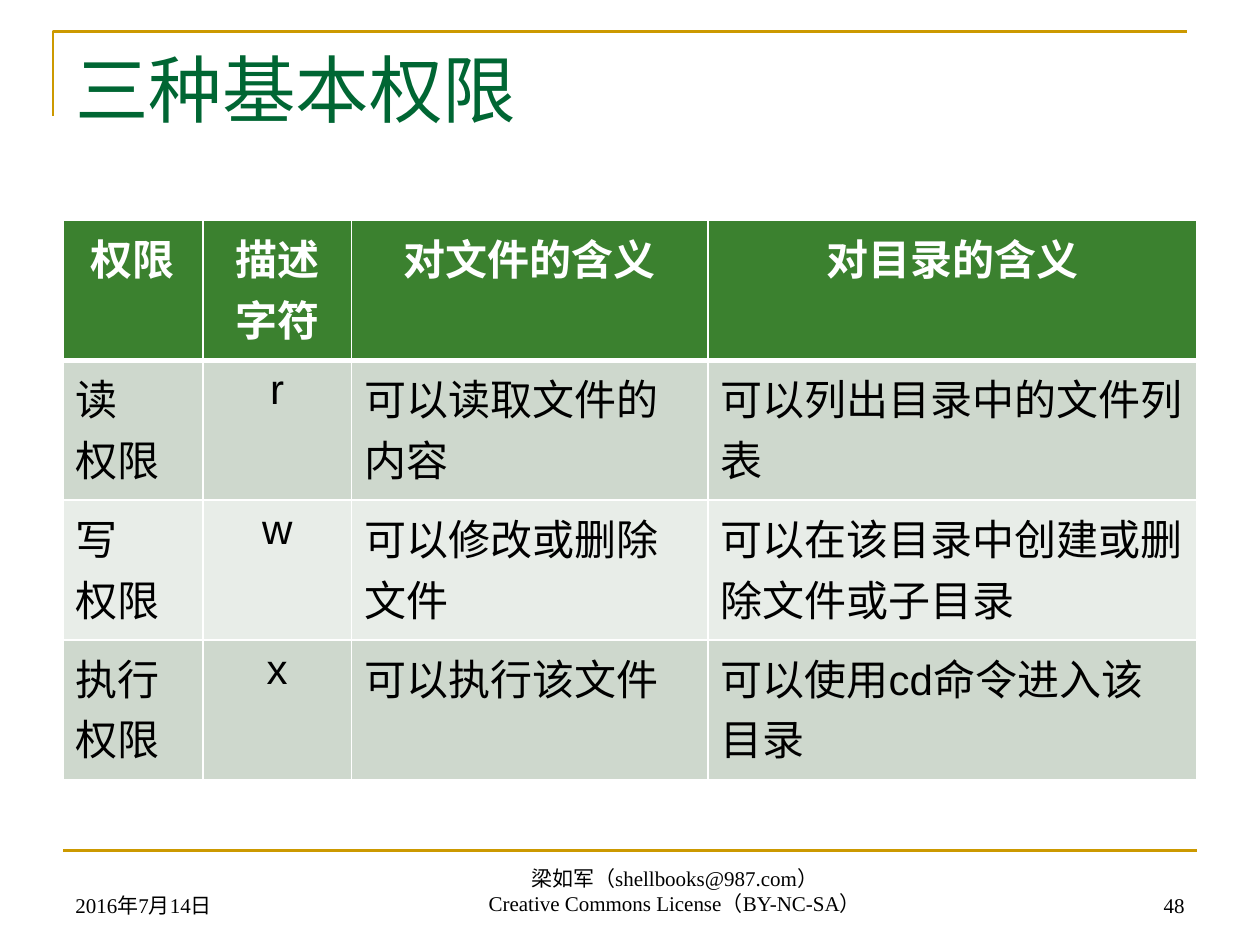
from dataclasses import dataclass

from lxml.etree import SubElement
from pptx import Presentation
from pptx.dml.color import RGBColor
from pptx.enum.shapes import MSO_CONNECTOR as Connector
from pptx.enum.text import MSO_ANCHOR as Anchor, PP_ALIGN as Align
from pptx.oxml.ns import qn
from pptx.shapes.base import BaseShape
from pptx.slide import Slide
from pptx.table import _Cell as Cell
from pptx.text.text import TextFrame
from pptx.util import Inches, Pt

COLORS = {
    "rule": "CC9900",
    "title": "006633",
    "header": "3B812F",
    "odd": "CED8CD",
    "even": "E8EDE8",
    "white": "FFFFFF",
    "black": "000000",
}
COLUMN_WIDTHS = (1.11, 1.18, 2.83, 3.88)
ROW_HEIGHT = 1.11
PERMISSIONS = (
    ("权限", "描述字符", "对文件的含义", "对目录的含义"),
    ("读\n权限", "r", "可以读取文件的内容", "可以列出目录中的文件列表"),
    ("写\n权限", "w", "可以修改或删除文件", "可以在该目录中创建或删除文件或子目录"),
    ("执行权限", "x", "可以执行该文件", "可以使用cd命令进入该目录"),
)


@dataclass(frozen=True)
class TextStyle:
    """Describe the look of a block of text."""

    size: int
    color: str = "black"
    font: str = "Times New Roman"
    bold: bool = False
    align: Align = Align.LEFT


@dataclass(frozen=True)
class Label:
    """Describe a text box and its position in inches."""

    text: str
    box: tuple[float, float, float, float]
    style: TextStyle
    anchor: Anchor = Anchor.BOTTOM


LABELS = (
    Label("三种基本权限", (0.5, 0.3, 9, 1.25), TextStyle(42, "title"), Anchor.TOP),
    Label("2016年7月14日", (0.5, 6.83, 2.33, 0.5), TextStyle(12)),
    Label(
        "梁如军（shellbooks@987.com）\nCreative Commons License（BY-NC-SA）",
        (2.4, 6.82, 5.91, 0.5),
        TextStyle(12, align=Align.CENTER),
    ),
    Label("48", (7.17, 6.83, 2.33, 0.5), TextStyle(12, align=Align.RIGHT)),
)


def rgb(name: str) -> RGBColor:
    """Return a named colour."""
    return RGBColor.from_string(COLORS[name])


def write_text(frame: TextFrame, text: str, style: TextStyle) -> None:
    """Fill a frame with one styled paragraph per line."""
    frame.text = text
    frame.word_wrap = True
    font_format = {"size": Pt(style.size), "name": style.font, "bold": style.bold}
    for paragraph in frame.paragraphs:
        paragraph.alignment = style.align
        for run in paragraph.runs:
            for attribute, value in font_format.items():
                setattr(run.font, attribute, value)
            run.font.color.rgb = rgb(style.color)


def add_label(slide: Slide, label: Label) -> None:
    """Place a label on the slide."""
    frame = slide.shapes.add_textbox(*map(Inches, label.box)).text_frame
    write_text(frame, label.text, label.style)
    frame.vertical_anchor = label.anchor


def style_rule(rule: BaseShape) -> None:
    """Give a decorative rule its line."""
    rule.line.color.rgb = rgb("rule")
    rule.line.width = Pt(1.5)


def add_rules(slide: Slide) -> None:
    """Draw the corner above the title and the rule above the footer."""
    builder = slide.shapes.build_freeform(Inches(0.42), Inches(0.92))
    corner_points = [(Inches(0.42), Inches(0.25)), (Inches(9.42), Inches(0.25))]
    builder.add_line_segments(corner_points, close=False)
    corner = builder.convert_to_shape()
    corner.fill.background()
    corner.shadow.inherit = False
    style_rule(corner)

    footer_rule = slide.shapes.add_connector(
        Connector.STRAIGHT, Inches(0.5), Inches(6.75), Inches(9.5), Inches(6.75)
    )
    style_rule(footer_rule)
    SubElement(footer_rule._element.spPr, qn("a:effectLst"))


def add_borders(cell: Cell, top: float, bottom: float) -> None:
    """Draw white borders with the given top and bottom widths in points."""
    properties = cell._tc.get_or_add_tcPr()
    for side, width in {"L": 1, "R": 1, "T": top, "B": bottom}.items():
        border = SubElement(properties, qn(f"a:ln{side}"), w=str(Pt(width)))
        fill = SubElement(border, qn("a:solidFill"))
        SubElement(fill, qn("a:srgbClr"), val=COLORS["white"])


def add_permission_table(slide: Slide) -> None:
    """Draw the table of permissions."""
    table = slide.shapes.add_table(
        len(PERMISSIONS), len(COLUMN_WIDTHS), Inches(0.5), Inches(1.75),
        Inches(sum(COLUMN_WIDTHS)), Inches(ROW_HEIGHT * len(PERMISSIONS)),
    ).table
    for column, width in zip(table.columns, COLUMN_WIDTHS):
        column.width = Inches(width)
    for row_index, permission in enumerate(PERMISSIONS):
        table.rows[row_index].height = Inches(ROW_HEIGHT)
        is_header = row_index == 0
        band = "header" if is_header else ("even", "odd")[row_index % 2]
        for column_index, text in enumerate(permission):
            cell = table.cell(row_index, column_index)
            centered = is_header or column_index == 1
            style = TextStyle(
                24,
                "white" if is_header else "black",
                "Arial",
                is_header,
                Align.CENTER if centered else Align.LEFT,
            )
            write_text(cell.text_frame, text, style)
            add_borders(cell, 3 if row_index == 1 else 1, 3 if is_header else 1)
            cell.fill.solid()
            cell.fill.fore_color.rgb = rgb(band)


def main() -> None:
    """Build and save the slide."""
    presentation = Presentation()
    presentation.slide_width = Inches(10)
    presentation.slide_height = Inches(7.5)
    slide = presentation.slides.add_slide(presentation.slide_layouts[6])
    add_rules(slide)
    add_permission_table(slide)
    for label in LABELS:
        add_label(slide, label)
    presentation.save("out.pptx")


if __name__ == "__main__":
    main()
